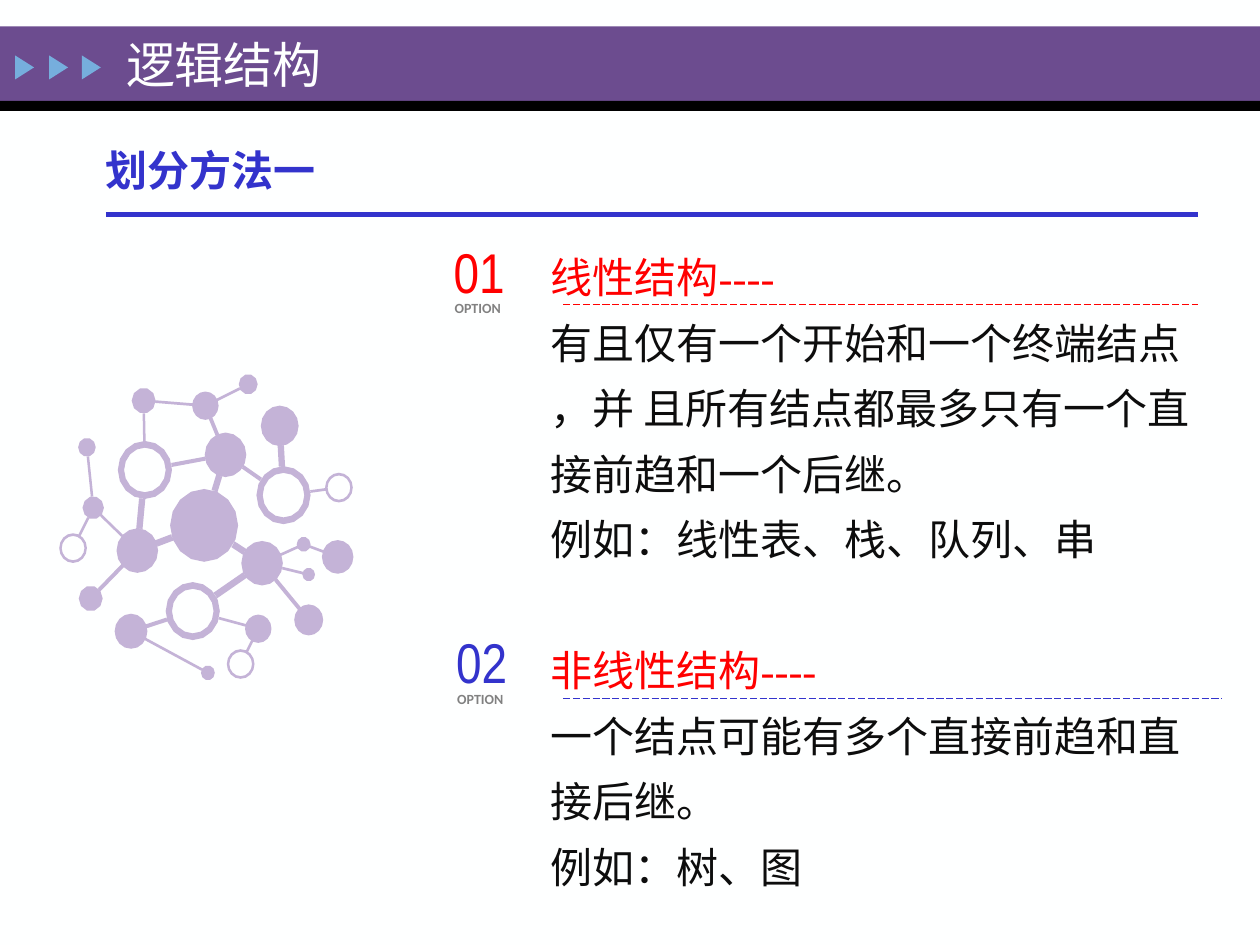
from math import asin, atan2, cos, hypot, pi, sin
from typing import NamedTuple

from lxml.etree import SubElement
from pptx import Presentation
from pptx.dml.color import RGBColor
from pptx.enum.dml import MSO_LINE
from pptx.enum.shapes import MSO_CONNECTOR, MSO_SHAPE
from pptx.enum.text import MSO_ANCHOR, MSO_AUTO_SIZE, PP_ALIGN
from pptx.oxml.ns import qn
from pptx.util import Inches, Pt

PAPER = RGBColor(0xFE, 0xFF, 0xFF)
PURPLE = RGBColor(0x6C, 0x4C, 0x8F)
BLACK = RGBColor(0x00, 0x00, 0x00)
SKY = RGBColor(0x76, 0xAE, 0xDD)
BLUE = RGBColor(0x33, 0x33, 0xCC)
RED = RGBColor(0xFF, 0x00, 0x00)
INK = RGBColor(0x0D, 0x0D, 0x0D)
GRAY = RGBColor(0x81, 0x81, 0x81)
LILAC = RGBColor(0xC4, 0xB3, 0xD7)
SERIF = "Times New Roman"
STRETCH = 1.07


class Node(NamedTuple):
    x: float
    y: float
    width: float
    ring: float = 0


class Link(NamedTuple):
    start: str
    end: str
    weight: float = 0.02


class Option(NamedTuple):
    number: str
    left: float
    top: float
    color: RGBColor
    rule_y: float
    rule_end: float


class BodyLine(NamedTuple):
    text: str
    color: RGBColor = INK
    space_before: float = 0


NODES = {
    "top left": Node(1.14, 3.18, 0.19),
    "top": Node(1.63, 3.22, 0.21),
    "top right": Node(1.97, 3.05, 0.15),
    "upper right": Node(2.22, 3.38, 0.3),
    "upper hub": Node(1.79, 3.61, 0.33),
    "left ring": Node(1.15, 3.73, 0.43, 0.05),
    "right ring": Node(2.25, 3.93, 0.43, 0.05),
    "far right ring": Node(2.69, 3.87, 0.22, 0.02),
    "far left": Node(0.69, 3.55, 0.14),
    "left": Node(0.74, 4.03, 0.17),
    "far left ring": Node(0.58, 4.35, 0.22, 0.02),
    "left hub": Node(1.09, 4.37, 0.33),
    "center": Node(1.62, 4.17, 0.54),
    "right hub": Node(2.08, 4.47, 0.33),
    "right dot": Node(2.41, 4.32, 0.11),
    "far right": Node(2.68, 4.42, 0.25),
    "small dot": Node(2.45, 4.56, 0.1),
    "lower left": Node(0.72, 4.75, 0.19),
    "lower ring": Node(1.53, 4.85, 0.43, 0.05),
    "bottom left": Node(1.04, 5.01, 0.26),
    "bottom": Node(2.05, 4.99, 0.21),
    "lower right": Node(2.45, 4.92, 0.23),
    "bottom dot": Node(1.65, 5.34, 0.11),
    "bottom ring": Node(1.91, 5.27, 0.22, 0.02),
}

LINKS = [
    Link("top left", "top"),
    Link("top", "top right"),
    Link("top left", "left ring"),
    Link("top", "upper hub", 0.03),
    Link("left ring", "upper hub", 0.03),
    Link("upper hub", "right ring", 0.03),
    Link("upper right", "right ring", 0.05),
    Link("right ring", "far right ring"),
    Link("upper hub", "center", 0.05),
    Link("left ring", "left hub", 0.05),
    Link("far left", "left"),
    Link("left", "far left ring"),
    Link("left", "left hub"),
    Link("left hub", "lower left", 0.03),
    Link("left hub", "center", 0.05),
    Link("center", "right hub", 0.05),
    Link("right hub", "right dot"),
    Link("right dot", "far right"),
    Link("right hub", "small dot"),
    Link("right hub", "lower ring", 0.05),
    Link("right hub", "lower right", 0.03),
    Link("lower ring", "bottom left", 0.03),
    Link("lower ring", "bottom"),
    Link("bottom left", "bottom dot"),
    Link("bottom", "bottom ring"),
]

OPTIONS = [
    Option("01", 3.6, 1.88, RED, 2.42, 9.51),
    Option("02", 3.62, 4.98, BLUE, 5.54, 9.7),
]

BODY = [
    BodyLine("线性结构----", RED),
    BodyLine("有且仅有一个开始和一个终端结点\v，并 且所有结点都最多只有一个直\v接前趋和一个后继。"),
    BodyLine("例如：线性表、栈、队列、串"),
    BodyLine("非线性结构----", RED, 37.5),
    BodyLine("一个结点可能有多个直接前趋和直\v接后继。"),
    BodyLine("例如：树、图"),
]


def add_filled(slide, preset, left: float, top: float, width: float, height: float, color: RGBColor):
    shape = slide.shapes.add_shape(preset, Inches(left), Inches(top), Inches(width), Inches(height))
    paint(shape, color)
    return shape


def paint(shape, color: RGBColor) -> None:
    shape.shadow.inherit = False
    shape.fill.solid()
    shape.fill.fore_color.rgb = color
    shape.line.fill.background()


def add_line(slide, x1: float, y: float, x2: float, color: RGBColor, weight: float, dash=None) -> None:
    line = slide.shapes.add_connector(
        MSO_CONNECTOR.STRAIGHT, Inches(x1), Inches(y), Inches(x2), Inches(y))
    line.line.color.rgb = color
    line.line.width = Pt(weight)
    if dash:
        line.line.dash_style = dash
    SubElement(line.element.spPr, qn("a:effectLst"))


def place(shape, left: float, top: float, width: float, height: float) -> None:
    shape.left, shape.top = Inches(left), Inches(top)
    shape.width, shape.height = Inches(width), Inches(height)


def write(paragraph, text: str, *, size: float, font: str, color: RGBColor, bold: bool = False,
          spacing: float = 1.0, before: float = 0, indent: float = 0) -> None:
    paragraph.text = text
    paragraph.alignment = PP_ALIGN.LEFT
    paragraph.line_spacing = spacing
    paragraph.space_before = Pt(before)
    properties = paragraph._p.get_or_add_pPr()
    properties.set("marL", str(Inches(indent)))
    properties.set("indent", "0")
    SubElement(properties, qn("a:buNone"))
    for run in paragraph.runs:
        run.font.size = Pt(size)
        run.font.name = font
        run.font.bold = bold
        run.font.color.rgb = color


def add_text(slide, text: str, left: float, top: float, width: float, height: float, *,
             wrap: bool = True, inset: bool = True, **text_format) -> None:
    frame = slide.shapes.add_textbox(
        Inches(left), Inches(top), Inches(width), Inches(height)).text_frame
    frame.word_wrap = wrap
    if not inset:
        frame.margin_left = frame.margin_right = frame.margin_top = frame.margin_bottom = 0
        frame.vertical_anchor = MSO_ANCHOR.MIDDLE
    write(frame.paragraphs[0], text, **text_format)


def draw_header(slide) -> None:
    add_filled(slide, MSO_SHAPE.RECTANGLE, 0, 0.21, 10, 0.59, PURPLE)
    add_filled(slide, MSO_SHAPE.RECTANGLE, 0, 0.8, 10, 0.08, BLACK)
    for left in (0.1, 0.37, 0.63):
        add_filled(slide, MSO_SHAPE.ISOSCELES_TRIANGLE, left, 0.46, 0.19, 0.15, SKY).rotation = 90
    title = slide.shapes.title
    title.element.getparent().append(title.element)
    place(title, 0.9, 0.16, 2.69, 0.7)
    title.text_frame.auto_size = MSO_AUTO_SIZE.NONE
    title.text_frame.vertical_anchor = MSO_ANCHOR.MIDDLE
    write(title.text_frame.paragraphs[0], "逻辑结构", size=28, font=SERIF, color=PAPER)


def draw_body(slide) -> None:
    body = slide.placeholders[1]
    body.element.getparent().append(body.element)
    place(body, 3.36, 1.83, 6.44, 5.51)
    frame = body.text_frame
    frame.auto_size = MSO_AUTO_SIZE.NONE
    for index, line in enumerate(BODY):
        paragraph = frame.add_paragraph() if index else frame.paragraphs[0]
        write(paragraph, line.text, size=24, font=SERIF, color=line.color,
              spacing=1.3, before=line.space_before, indent=0.91)


def draw_option(slide, option: Option) -> None:
    add_text(slide, option.number, option.left, option.top, 0.51, 0.54, inset=False,
             size=32, font="Arial Narrow", color=option.color)
    add_text(slide, "OPTION", option.left - 0.09, option.top + 0.45, 0.63, 0.24, wrap=False,
             size=8, font="Calibri", color=GRAY, bold=True)
    add_line(slide, 4.47, option.rule_y, option.rule_end, option.color, 0.5, MSO_LINE.LONG_DASH)


def rim_point(node: Node, radius: float, angle: float) -> tuple[int, int]:
    return (Inches(node.x + radius * cos(angle)),
            Inches(node.y + radius * sin(angle) * STRETCH))


def node_outlines(node: Node) -> list[list[tuple[int, int]]]:
    sides = 16 if node.width > 0.2 else 10
    radii = [node.width / 2] + ([node.width / 2 - node.ring] if node.ring else [])
    return [[rim_point(node, radius, 2 * pi * side / sides) for side in range(sides)]
            for radius in radii]


def link_outline(link: Link) -> list[tuple[int, int]]:
    start, end = NODES[link.start], NODES[link.end]
    angle = atan2((end.y - start.y) / STRETCH, end.x - start.x)
    points = []
    for node, direction in ((start, angle), (end, angle + pi)):
        spread = asin(link.weight / node.width)
        points += [rim_point(node, node.width / 2, direction + turn) for turn in (-spread, 0, spread)]
    return points


def draw_network(slide) -> None:
    outlines = [outline for node in NODES.values() for outline in node_outlines(node)]
    outlines += [link_outline(link) for link in LINKS]
    builder = slide.shapes.build_freeform(*outlines[0][0])
    for outline in outlines:
        if outline is not outlines[0]:
            builder.move_to(*outline[0])
        builder.add_line_segments(outline[1:], close=True)
    paint(builder.convert_to_shape(), LILAC)


def main() -> None:
    presentation = Presentation()
    presentation.slide_width, presentation.slide_height = Inches(10), Inches(7.5)
    slide = presentation.slides.add_slide(presentation.slide_layouts[1])
    slide.background.fill.solid()
    slide.background.fill.fore_color.rgb = PAPER
    draw_header(slide)
    add_text(slide, "划分方法一", 0.74, 0.98, 3.15, 0.79,
             size=24, font=SERIF, color=BLUE, bold=True, spacing=1.3)
    draw_body(slide)
    for option in OPTIONS:
        draw_option(slide, option)
    add_line(slide, 0.84, 1.7, 9.51, BLUE, 3)
    draw_network(slide)
    presentation.save("out.pptx")


if __name__ == "__main__":
    main()
